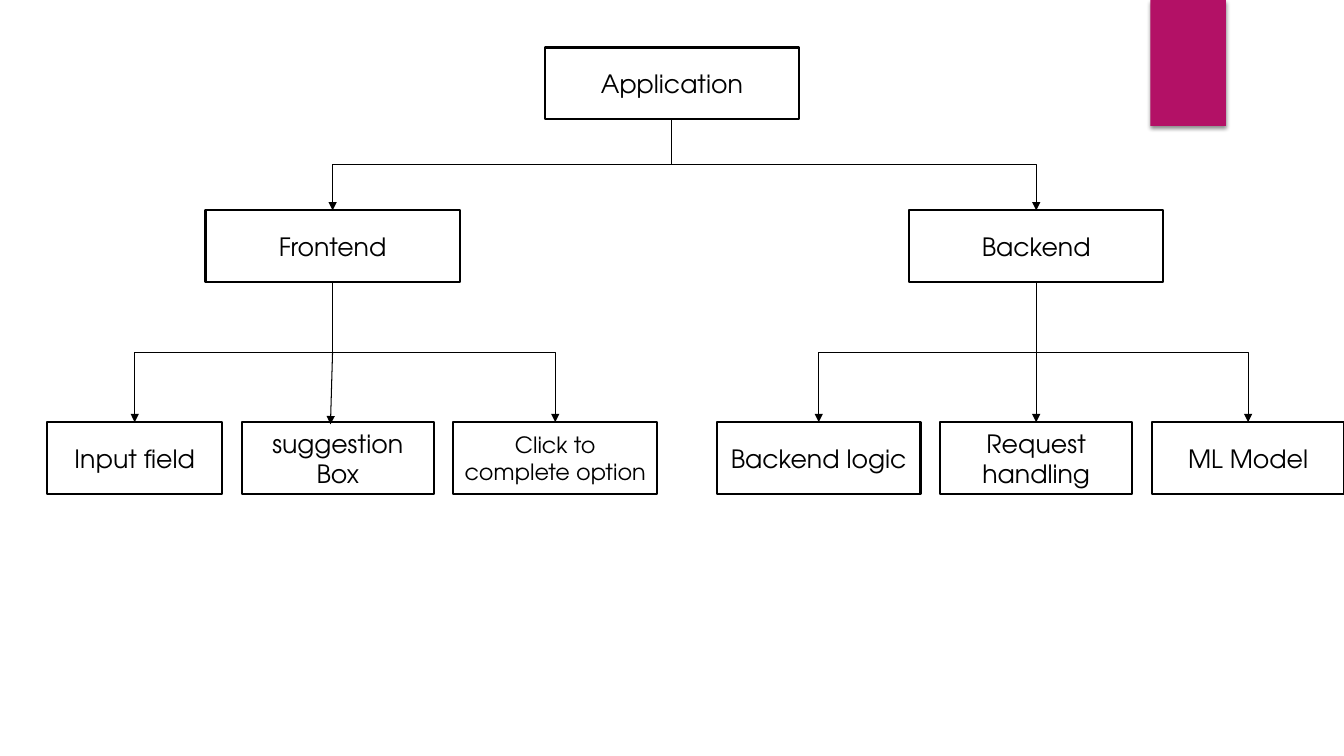
from lxml import etree
from pptx import Presentation
from pptx.dml.color import RGBColor
from pptx.enum.shapes import MSO_CONNECTOR as Connector, MSO_SHAPE as Shape
from pptx.enum.text import MSO_ANCHOR as Anchor, PP_ALIGN as Align
from pptx.oxml.ns import qn
from pptx.util import Pt

COLORS = {"accent": "B31166", "box": "FFFFFF", "ink": "000000"}
FONT = "TeX Gyre Adventor"
PARENT_WIDTH, BOX_HEIGHT = 181.5, 51.3


def color(name):
    return RGBColor.from_string(COLORS[name])


def add_rectangle(slide, left, top, width, height, fill):
    shape = slide.shapes.add_shape(Shape.RECTANGLE, Pt(left), Pt(top), Pt(width), Pt(height))
    shape.shadow.inherit = False
    shape.fill.solid()
    shape.fill.fore_color.rgb = color(fill)
    return shape


def add_box(slide, left, top, width, text, size=18):
    shape = add_rectangle(slide, left, top, width, BOX_HEIGHT, "box")
    shape.line.color.rgb = color("ink")
    shape.line.width = Pt(1.5)
    frame = shape.text_frame
    frame.word_wrap = True
    frame.vertical_anchor = Anchor.MIDDLE
    paragraph = frame.paragraphs[0]
    paragraph.alignment = Align.CENTER
    run = paragraph.add_run()
    run.text = text
    run.font.name = FONT
    run.font.size = Pt(size)
    run.font.color.rgb = color("ink")


def add_arrow(slide, kind, start, end):
    points = [Pt(value) for value in (*start, *end)]
    connector = slide.shapes.add_connector(kind, *points)
    connector.line.color.rgb = color("ink")
    connector.line.width = Pt(0.75)
    etree.SubElement(connector.line._get_or_add_ln(), qn("a:tailEnd"), type="triangle")
    etree.SubElement(connector._element.spPr, qn("a:effectLst"))
    return connector


def add_elbow(slide, start, end):
    """Elbow arrow that leaves downwards: a quarter turn swaps its width and height."""
    across, down = abs(end[0] - start[0]), end[1] - start[1]
    middle_x, middle_y = (start[0] + end[0]) / 2, (start[1] + end[1]) / 2
    corner = (middle_x - down / 2, middle_y - across / 2)
    connector = add_arrow(slide, Connector.ELBOW, corner, (corner[0] + down, corner[1] + across))
    transform = connector._element.spPr.find(qn("a:xfrm"))
    if end[0] > start[0]:
        transform.set("rot", "16200000")
        transform.set("flipH", "1")
    else:
        transform.set("rot", "5400000")


def add_accent(slide, left, top, width, height):
    bar = add_rectangle(slide, left, top, width, height, "accent")
    bar.line.fill.background()
    effects = bar._element.spPr.find(qn("a:effectLst"))
    shadow = etree.SubElement(effects, qn("a:outerShdw"), blurRad=str(Pt(3)),
                              dist=str(Pt(2)), dir="5400000", rotWithShape="0")
    tint = etree.SubElement(shadow, qn("a:srgbClr"), val=COLORS["ink"])
    etree.SubElement(tint, qn("a:alpha"), val="45000")


def add_root(slide, left, top, text, branch_centers, branch_top):
    add_box(slide, left, top, PARENT_WIDTH, text)
    start = (left + PARENT_WIDTH / 2, top + BOX_HEIGHT)
    for center in branch_centers:
        add_elbow(slide, start, (center, branch_top))


def add_branch(slide, left, top, text, children, middle_tip):
    """Parent box with three children, each given as offset, width, text and size."""
    add_box(slide, left, top, PARENT_WIDTH, text)
    center, bottom, child_top = left + PARENT_WIDTH / 2, top + BOX_HEIGHT, top + 151.3
    for offset, width, label, size in children:
        add_box(slide, left + offset, child_top, width, label, size)
    # Outer children hang on elbows, the middle one on a straight arrow
    for offset, width, *_ in (children[0], children[-1]):
        add_elbow(slide, (center, bottom), (left + offset + width / 2, child_top))
    middle = (center, (bottom + child_top) / 2)
    add_arrow(slide, Connector.STRAIGHT, middle, (center + middle_tip[0], child_top + middle_tip[1]))


presentation = Presentation()
presentation.slide_width, presentation.slide_height = Pt(960), Pt(540)
slide = presentation.slides.add_slide(presentation.slide_layouts[6])

# Accent bar
add_accent(slide, 821.7, 0, 54, 90)

# Application tree
BRANCH_TOP, FRONTEND_LEFT, BACKEND_LEFT = 150.3, 146.8, 649.4
centers = [left + PARENT_WIDTH / 2 for left in (BACKEND_LEFT, FRONTEND_LEFT)]
add_root(slide, 389.2, 34, "Application", centers, BRANCH_TOP)
add_branch(slide, FRONTEND_LEFT, BRANCH_TOP, "Frontend", [
    (-113.2, 125.3, "Input field", 18),
    (26, 137, "suggestion Box", 18),
    (177, 145.6, "Click to complete option", 16),
], middle_tip=(-1.5, 1.5))
add_branch(slide, BACKEND_LEFT, BRANCH_TOP, "Backend", [
    (-137.4, 145.6, "Backend logic", 18),
    (22.2, 137, "Request handling", 18),
    (173.6, 137, "ML Model", 18),
], middle_tip=(0, 0))

presentation.save("out.pptx")
